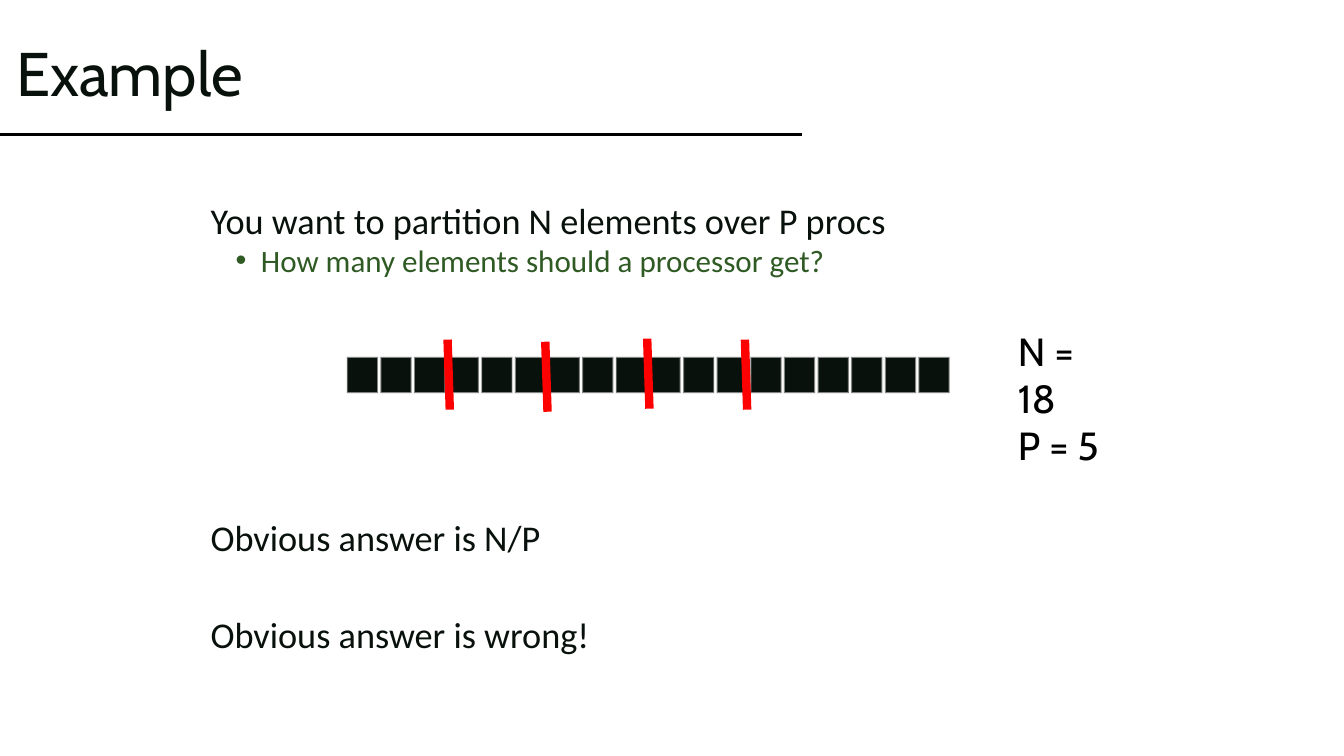
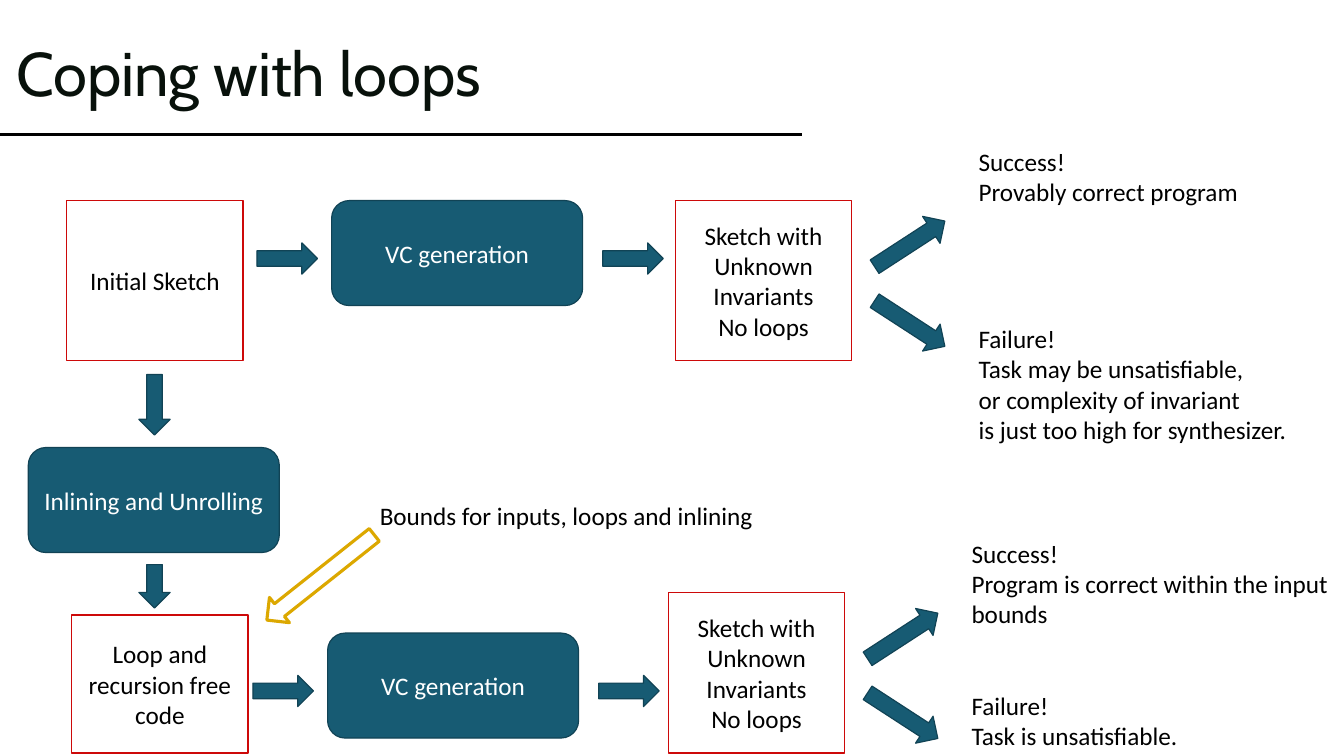
from lxml import etree
from pptx import Presentation
from pptx.dml.color import RGBColor
from pptx.enum import shapes, text
from pptx.oxml import ns
from pptx.util import Pt

INK, GREEN, BLACK, WHITE = "08110B", "2F5A24", "000000", "FFFFFF"
RED, SCARLET, PALE = "CD0909", "FF0000", "F9F9F9"
TEAL, TEAL_EDGE, GOLD = "175B73", "114355", "DCA800"
HEADING_FONT, BODY_FONT = "Cabin", "Calibri"
GEOMETRY = shapes.MSO_SHAPE
ALIGN = text.PP_ALIGN
ANCHOR = text.MSO_ANCHOR


def color(value):
    return RGBColor.from_string(value)


def write(paragraph, wording, size, ink, font=BODY_FONT):
    for index, line in enumerate(wording.split("\n")):
        if index:
            paragraph.add_line_break()
        run = paragraph.add_run()
        run.text = line
        run.font.name = font
        run.font.size = Pt(size)
        run.font.color.rgb = color(ink)


def add_block(slide, geometry, box, fill, edge, width=0.85, rotation=0):
    block = slide.shapes.add_shape(geometry, *map(Pt, box))
    block.shadow.inherit = False
    block.fill.solid()
    block.fill.fore_color.rgb = color(fill)
    block.line.color.rgb = color(edge)
    block.line.width = Pt(width)
    block.rotation = rotation
    return block


def add_stage(slide, geometry, box, wording, fill, edge, ink):
    stage = add_block(slide, geometry, box, fill, edge)
    frame = stage.text_frame
    frame.word_wrap = True
    frame.vertical_anchor = ANCHOR.MIDDLE
    paragraph = frame.paragraphs[0]
    paragraph.alignment = ALIGN.CENTER
    write(paragraph, wording, 18, ink)


def add_artifact(slide, box, wording):
    add_stage(slide, GEOMETRY.RECTANGLE, box, wording, WHITE, RED, BLACK)


def add_process(slide, left, top, wording):
    box = (left, top, 179.3, 75)
    add_stage(slide, GEOMETRY.ROUNDED_RECTANGLE, box, wording, TEAL, TEAL_EDGE, WHITE)


def add_arrow(slide, box, geometry=GEOMETRY.RIGHT_ARROW, rotation=0):
    add_block(slide, geometry, box, TEAL, TEAL_EDGE, rotation=rotation)


def add_label(slide, box, paragraphs, size=18, font=BODY_FONT):
    frame = slide.shapes.add_textbox(*map(Pt, box)).text_frame
    frame.word_wrap = True
    frame.margin_right = 0
    for index, wording in enumerate(paragraphs):
        paragraph = frame.add_paragraph() if index else frame.paragraphs[0]
        write(paragraph, wording, size, BLACK, font)


def add_line(slide, start, end, ink, width):
    line = slide.shapes.add_connector(
        shapes.MSO_CONNECTOR.STRAIGHT, *map(Pt, (*start, *end)))
    line.line.color.rgb = color(ink)
    line.line.width = Pt(width)
    etree.SubElement(line._element.spPr, ns.qn("a:effectLst"))


def add_titled_slide(deck, heading):
    slide = deck.slides.add_slide(deck.slide_layouts[5])
    title = slide.shapes.title
    title.left, title.top, title.width, title.height = map(Pt, (4.3, 2.2, 540.7, 104.4))
    frame = title.text_frame
    frame.word_wrap = True
    frame.auto_size = text.MSO_AUTO_SIZE.NONE
    frame.vertical_anchor = ANCHOR.MIDDLE
    paragraph = frame.paragraphs[0]
    paragraph.alignment = ALIGN.LEFT
    paragraph.line_spacing = 0.9
    write(paragraph, heading, 44, INK, HEADING_FONT)
    add_line(slide, (0, 96), (573, 96), BLACK, 2.25)
    return slide


def add_statements(slide, box):
    frame = slide.shapes.add_textbox(*map(Pt, box)).text_frame
    frame.word_wrap = True
    statements = [
        ("You want to partition N elements over P procs", False, 0),
        ("How many elements should a processor get?", True, 5),
        ("Obvious answer is N/P", False, 175),
        ("Obvious answer is wrong!", False, 45),
    ]
    for index, (wording, bulleted, gap) in enumerate(statements):
        paragraph = frame.add_paragraph() if index else frame.paragraphs[0]
        properties = paragraph._p.get_or_add_pPr()
        properties.set("marL", str(Pt(54 if bulleted else 18)))
        if bulleted:
            properties.set("indent", str(Pt(-18)))
            etree.SubElement(properties, ns.qn("a:buFont"), typeface="Arial")
            etree.SubElement(properties, ns.qn("a:buChar"), char="•")
        paragraph.line_spacing = 0.8
        paragraph.space_before = Pt(gap)
        write(paragraph, wording, 22.2 if bulleted else 25.9, GREEN if bulleted else INK)


def add_elements(slide, left, top, count=18, pitch=24.02):
    for index in range(count):
        box = (left + index * pitch, top, 22.3, 25.9)
        element = add_block(slide, GEOMETRY.RECTANGLE, box, INK, PALE, 1.35)
        edge = element.line._ln.find(".//" + ns.qn("a:srgbClr"))
        etree.SubElement(edge, ns.qn("a:alpha"), val="50000")
    for across, rise in ((72, 12.3), (141.8, 10.8), (214.6, 13), (284.4, 12.3)):
        start = (left + across, top - rise)
        add_line(slide, start, (start[0] + 1.6, start[1] + 50), SCARLET, 6)


def add_generation(slide, left, top):
    for offset in (0, 247):
        add_arrow(slide, (left + offset, top + 30.2, 43.2, 22.3))
    add_process(slide, left + 53.3, top, "VC generation")


def add_outcomes(slide, left, top, success, failure, failure_offset):
    add_artifact(slide, (left, top, 126, 114.5), "Sketch with Unknown Invariants\nNo loops")
    for offset, rotation in ((19.4, 327), (76.3, 33)):
        add_arrow(slide, (left + 137.5, top + offset, 59.8, 23), rotation=rotation)
    label_left = left + 209.5
    add_label(slide, (label_left, top - 42.5, 272, 51), success)
    add_label(slide, (label_left, top + failure_offset, 272, 51), failure)


def add_unrolling(slide, left, top):
    down = GEOMETRY.DOWN_ARROW
    add_artifact(slide, (left + 27.4, top, 126, 114.5), "Initial Sketch")
    add_arrow(slide, (left + 79, top + 124.2, 22.3, 43.2), down)
    add_process(slide, left, top + 176.4, "Inlining and Unrolling")
    add_arrow(slide, (left + 79, top + 260, 22.3, 31), down)
    add_artifact(slide, (left + 31, top + 296, 126, 98.6), "Loop and recursion free code")


def add_bounds(slide, left, top):
    add_block(slide, GEOMETRY.RIGHT_ARROW, (left, top + 47.5, 97.9, 23),
              WHITE, GOLD, 2.25, 141.6)
    add_label(slide, (left + 84.2, top, 290, 29), ["Bounds for inputs, loops and inlining"])


def build_example(deck):
    slide = add_titled_slide(deck, "Example")
    add_statements(slide, (125.3, 144, 769, 342.7))
    add_elements(slide, 247.7, 254.9)
    add_label(slide, (720, 230.4, 72, 75), ["N = 18", "P = 5"], 28, HEADING_FONT)


def build_loops(deck):
    slide = add_titled_slide(deck, "Coping with loops")
    add_unrolling(slide, 20.2, 143.3)
    add_generation(slide, 183.6, 143.3)
    add_outcomes(
        slide, 482.4, 143.3, ["Success!\nProvably correct program"],
        ["Failure!\nTask may be unsatisfiable,\nor complexity of invariant \n"
         "is just too high for synthesizer."], 84.2)
    add_generation(slide, 180.7, 452.2)
    add_outcomes(
        slide, 477.4, 423.4,
        ["Success!\nProgram is correct within the input", "bounds"],
        ["Failure!\nTask is unsatisfiable."], 66.2)
    add_bounds(slide, 180, 353.5)


def main():
    deck = Presentation()
    deck.slide_width, deck.slide_height = Pt(960), Pt(540)
    build_example(deck)
    build_loops(deck)
    deck.save("out.pptx")


if __name__ == "__main__":
    main()
